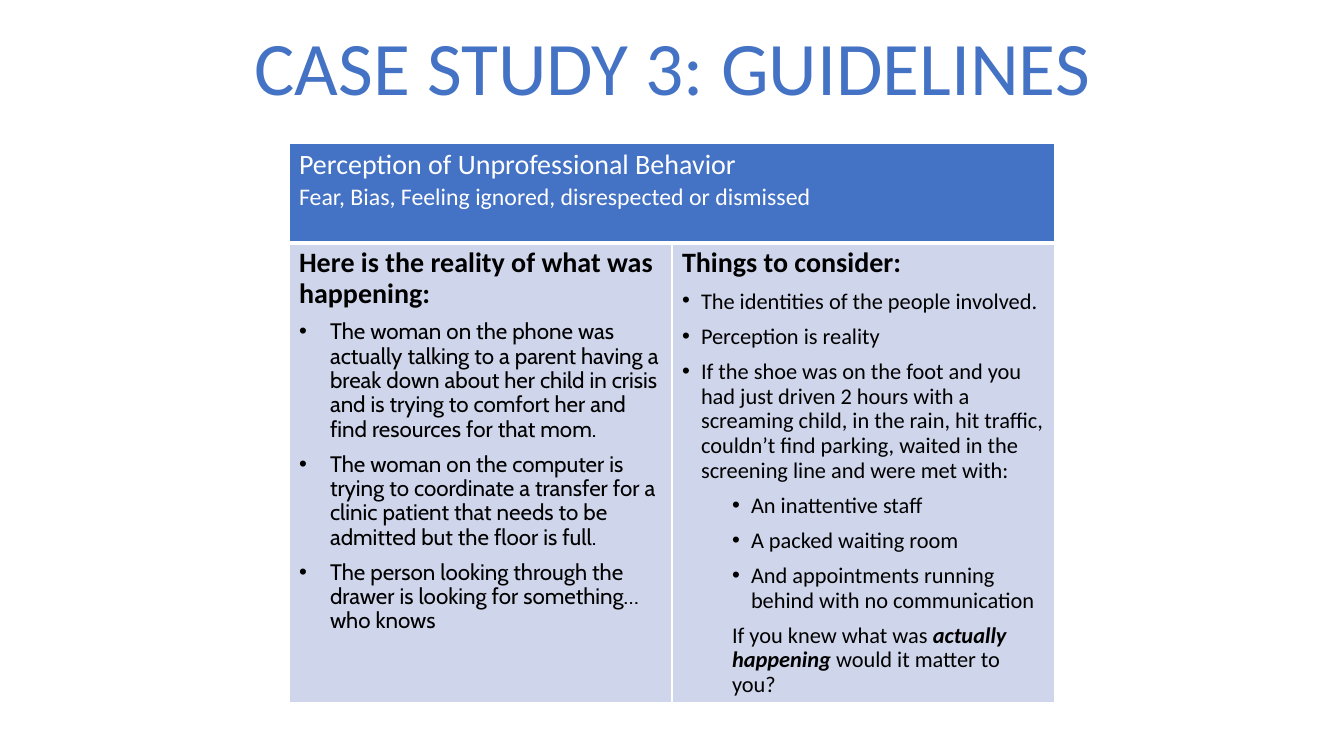
from lxml import etree
from pptx import Presentation
from pptx.dml.color import RGBColor
from pptx.enum.text import MSO_AUTO_SIZE, PP_ALIGN
from pptx.oxml.ns import qn
from pptx.util import Pt

SCALE = 914400 / 100.8
CENTER = PP_ALIGN.CENTER
GROW = MSO_AUTO_SIZE.SHAPE_TO_FIT_TEXT

COLORS = {"blue": "4472C4", "pale": "CFD5EA", "white": "FFFFFF", "black": "000000"}

TITLE = "CASE STUDY 3: GUIDELINES"
HEADER = [
    ("Perception of Unprofessional Behavior", 20),
    ("Fear, Bias, Feeling ignored, disrespected or dismissed", 17),
]
REALITY = [
    "The woman on the phone was actually talking to a parent having a break down "
    "about her child in crisis and is trying to comfort her and find resources for that mom.",
    "The woman on the computer is trying to coordinate a transfer for a clinic patient "
    "that needs to be admitted but the floor is full.",
    "The person looking through the drawer is looking for something…who knows",
]
CONSIDER = [
    "The identities of the people involved.",
    "Perception is reality",
    "If the shoe was on the foot and you had just driven 2 hours with a screaming child, "
    "in the rain, hit traffic, couldn’t find parking, waited in the screening line "
    "and were met with:",
]
MET_WITH = [
    "An inattentive staff",
    "A packed waiting room",
    "And appointments running behind with no communication",
]
# Stars enclose the stressed words.
QUESTION = "If you knew what was *actually happening* would it matter to you?"


def px(n):
    return round(n * SCALE)


def rgb(name):
    return RGBColor.from_string(COLORS[name])


def style(run, size, color, face="Calibri", bold=False):
    font = run.font
    font.size = Pt(size)
    font.name = face
    font.bold = bold
    font.color.rgb = rgb(color)


def next_para(frame):
    """Return the first paragraph while it is empty, otherwise a new one."""
    first = frame.paragraphs[0]
    return frame.add_paragraph() if first.runs else first


def add_para(frame, text, size, color="black", face="Calibri", bold=False):
    """Add a paragraph; words between stars become bold italic."""
    para = next_para(frame)
    for i, part in enumerate(text.split("*")):
        run = para.add_run()
        run.text = part
        stress = i % 2 == 1
        style(run, size, color, face, bold or stress)
        run.font.italic = stress
    return para


def add_body(frame, text, size=16, face="Calibri", bold=False,
             left=0, hang=0, level=0):
    """Add a spaced paragraph, with a bullet if it has a hanging indent."""
    para = add_para(frame, text, size, face=face, bold=bold)
    para.level = level
    para.line_spacing = 0.9
    para.space_before = Pt(7.5)
    props = para._p.get_or_add_pPr()
    props.set("marL", str(px(left)))
    props.set("indent", str(px(-hang)))
    if hang:
        etree.SubElement(props, qn("a:buFont"), typeface="Arial")
        etree.SubElement(props, qn("a:buChar"), char="•")


def paint(cell, fill, base=1):
    """Give a cell white borders and a fill; base is the lower border in points."""
    props = cell._tc.get_or_add_tcPr()
    for side, width in zip("LRTB", (1, 1, 1, base)):
        line = etree.SubElement(props, qn("a:ln" + side), w=str(Pt(width)))
        solid = etree.SubElement(line, qn("a:solidFill"))
        etree.SubElement(solid, qn("a:srgbClr"), val=COLORS["white"])
    cell.fill.solid()
    cell.fill.fore_color.rgb = rgb(fill)


def add_grid(slide):
    frame = slide.shapes.add_table(2, 2, px(289), px(143), px(766), px(560))
    table = frame.table
    table.first_row = False
    table.horz_banding = False
    for col in table.columns:
        col.width = px(383)
    for row, height in zip(table.rows, (100, 460)):
        row.height = px(height)
    for cell in table.rows[0].cells:
        paint(cell, "blue", 3)
    for cell in table.rows[1].cells:
        paint(cell, "pale")
    table.cell(0, 0).merge(table.cell(0, 1))
    return table


def add_title(slide):
    box = slide.shapes.add_textbox(px(240), px(15), px(865), px(102))
    frame = box.text_frame
    frame.word_wrap = False
    frame.auto_size = GROW
    add_para(frame, TITLE, 54, "blue").alignment = CENTER


def fill_header(frame):
    for text, size in HEADER:
        add_para(frame, text, size, "white")


def fill_reality(frame):
    add_body(frame, "Here is the reality of what was happening:", 20, bold=True)
    for text in REALITY:
        add_body(frame, text, face="Cabin", left=31, hang=31)


def fill_consider(frame):
    add_body(frame, "Things to consider:", 20, bold=True)
    for text in CONSIDER:
        add_body(frame, text, left=19, hang=19)
    for text in MET_WITH:
        add_body(frame, text, left=69, hang=19, level=1)
    add_body(frame, QUESTION, left=50, level=1)


def main():
    deck = Presentation()
    deck.slide_width = px(1344)
    deck.slide_height = px(756)
    slide = deck.slides.add_slide(deck.slide_layouts[6])
    table = add_grid(slide)
    fill_header(table.cell(0, 0).text_frame)
    fill_reality(table.cell(1, 0).text_frame)
    fill_consider(table.cell(1, 1).text_frame)
    add_title(slide)
    deck.save("out.pptx")


if __name__ == "__main__":
    main()
